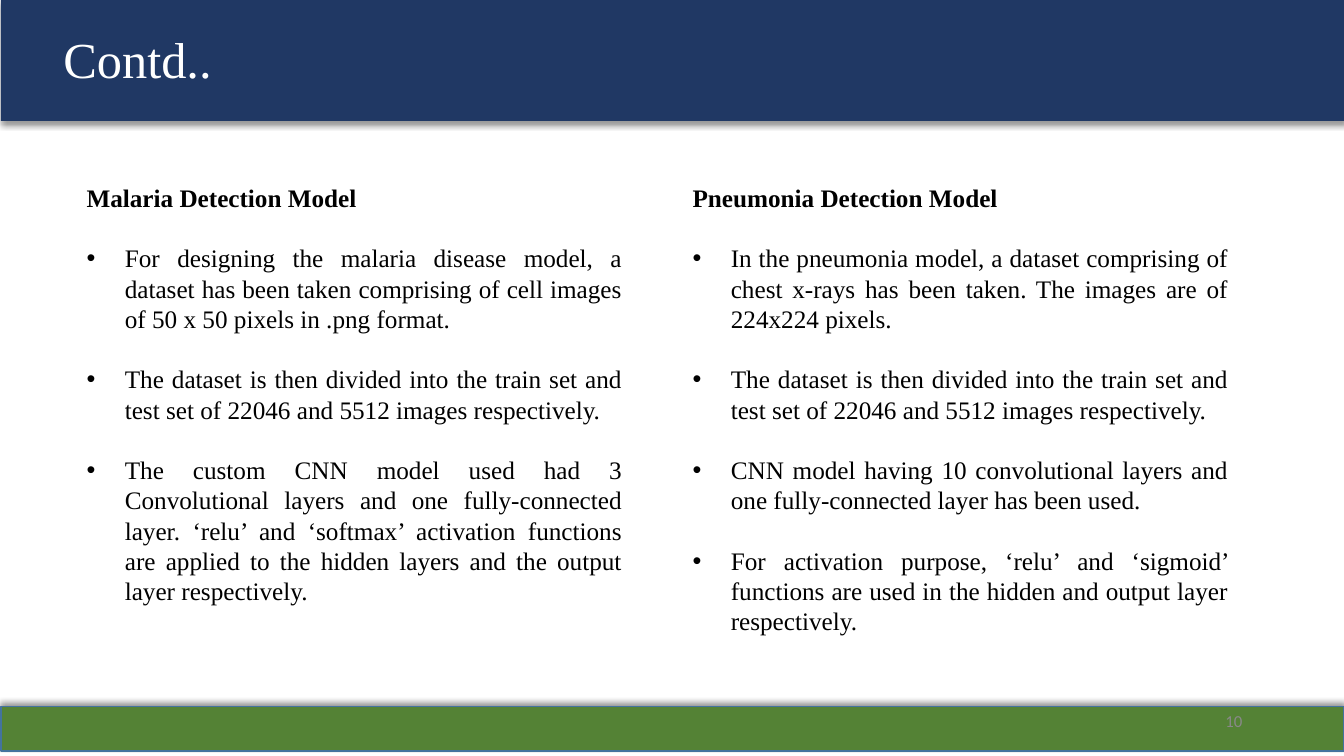
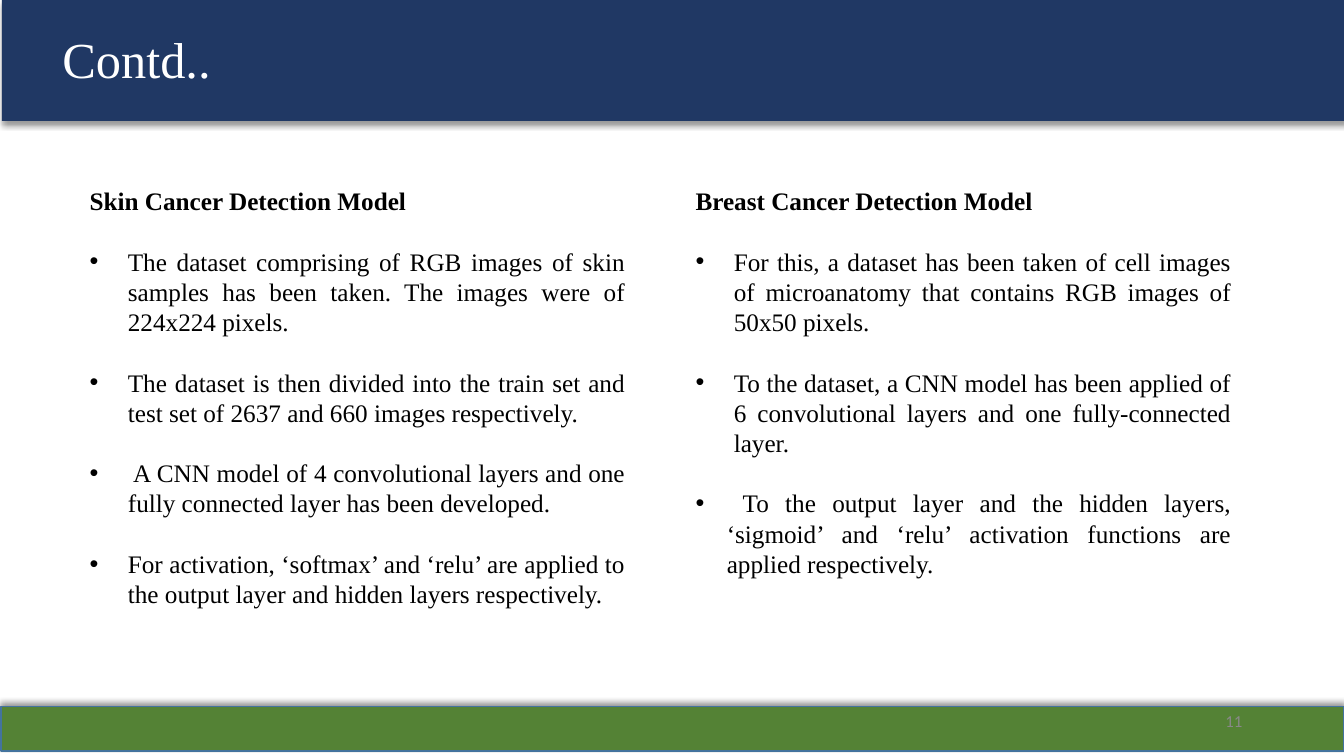
from lxml.etree import SubElement
from pptx import Presentation
from pptx.dml.color import RGBColor
from pptx.enum.shapes import MSO_SHAPE
from pptx.enum.text import MSO_ANCHOR, PP_ALIGN
from pptx.oxml.ns import qn
from pptx.util import Inches, Pt

NAVY, GREEN, EDGE = "203864", "548235", "43739E"
WHITE, BLACK, GRAY = "FFFFFF", "000000", "898989"
SERIF, SANS = "Times New Roman", "Calibri"
LEAD = 1.2
BODY = 18
INDENT = 0.38
GAP = 6.01

SLIDES = [
    {
        "page": 10, "band": 0.01, "title": 0.53, "left": 0.76, "top": 1.76,
        "parts": [
            ("Malaria Detection Model", [
                "For designing the malaria disease model, a dataset has been taken "
                "comprising of cell images of 50 x 50 pixels in .png format.",
                "The dataset is then divided into the train set and test set of "
                "22046 and 5512 images respectively.",
                "The custom CNN model used had 3 Convolutional layers and one "
                "fully-connected layer. ‘relu’ and ‘softmax’ activation functions "
                "are applied to the hidden layers and the output layer respectively.",
            ], INDENT),
            ("Pneumonia Detection Model", [
                "In the pneumonia model, a dataset comprising of chest x-rays has "
                "been taken. The images are of 224x224 pixels.",
                "The dataset is then divided into the train set and test set of "
                "22046 and 5512 images respectively.",
                "CNN model having 10 convolutional layers and one fully-connected "
                "layer has been used.",
                "For activation purpose, ‘relu’ and ‘sigmoid’ functions are used in "
                "the hidden and output layer respectively.",
            ], INDENT),
        ],
    },
    {
        "page": 11, "band": 0.02, "title": 0.52, "left": 0.79, "top": 1.79,
        "parts": [
            ("Skin Cancer Detection Model", [
                "The dataset comprising of RGB images of skin samples has been "
                "taken. The images were of 224x224 pixels.",
                "The dataset is then divided into the train set and test set of "
                "2637 and 660 images respectively.",
                " A CNN model of 4 convolutional layers and one fully connected "
                "layer has been developed.",
                "For activation, ‘softmax’ and ‘relu’ are applied to the output "
                "layer and hidden layers respectively.",
            ], INDENT),
            ("Breast Cancer Detection Model", [
                "For this, a dataset has been taken of cell images of microanatomy "
                "that contains RGB images of 50x50 pixels.",
                "To the dataset, a CNN model has been applied of 6 convolutional "
                "layers and one fully-connected layer.",
                " To the output layer and the hidden layers, ‘sigmoid’ and ‘relu’ "
                "activation functions are applied respectively.",
            ], 0.31),
        ],
    },
]


def color(code):
    """Turn a hex string into a colour."""
    return RGBColor.from_string(code)


def shade(shape, angle):
    """Cast a soft black shadow towards an angle in degrees."""
    shape.shadow.inherit = False
    effects = shape._element.spPr.find(qn("a:effectLst"))
    outer = SubElement(effects, qn("a:outerShdw"), blurRad=str(Pt(4)),
                       dist=str(Pt(3)), dir=str(angle * 60000),
                       algn="ctr", rotWithShape="0")
    black = SubElement(outer, qn("a:srgbClr"), val=BLACK)
    SubElement(black, qn("a:alpha"), val="40000")


def band(slide, left, top, width, height, fill, angle, edge=None):
    """Add a wide bar with a shadow and perhaps an edge."""
    bar = slide.shapes.add_shape(MSO_SHAPE.RECTANGLE, Inches(left), Inches(top),
                                 Inches(width), Inches(height))
    bar.fill.solid()
    bar.fill.fore_color.rgb = color(fill)
    if edge:
        bar.line.color.rgb = color(edge)
        bar.line.width = Pt(1)
    else:
        bar.line.fill.background()
    shade(bar, angle)


def frame(slide, left, top, width, height, anchor=MSO_ANCHOR.TOP):
    """Add a text box that wraps and give its text frame."""
    box = slide.shapes.add_textbox(Inches(left), Inches(top),
                                   Inches(width), Inches(height))
    box.text_frame.word_wrap = True
    box.text_frame.vertical_anchor = anchor
    return box.text_frame


def write(para, text, size=BODY, font=SERIF, ink=BLACK, bold=False,
          align=PP_ALIGN.LEFT, before=0):
    """Fill a paragraph with text in one format."""
    para.alignment = align
    para.line_spacing = Pt(size * LEAD)
    para.space_before = Pt(before)
    run = para.add_run()
    run.text = text
    run.font.size = Pt(size)
    run.font.name = font
    run.font.bold = bold
    run.font.color.rgb = color(ink)


def bullet(para, indent):
    """Hang a round bullet on a paragraph."""
    props = para._p.get_or_add_pPr()
    props.set("marL", str(Inches(indent)))
    props.set("indent", str(-Inches(indent)))
    SubElement(props, qn("a:buFont"), typeface="Arial")
    SubElement(props, qn("a:buChar"), char="•")


def column(slide, left, top, head, points, last):
    """Add a bold heading and its bullet points."""
    body = frame(slide, left, top, 5.51, 4.34)
    write(body.paragraphs[0], head, bold=True)
    for spot, point in enumerate(points, 1):
        para = body.add_paragraph()
        write(para, point, align=PP_ALIGN.JUSTIFY, before=BODY * LEAD)
        bullet(para, last if spot == len(points) else INDENT)


def build(slide, data):
    """Draw bands, title, columns and page number."""
    band(slide, 0.01, 7.01, 13.32, 0.44, GREEN, 270, EDGE)
    band(slide, data["band"], 0, 13.34, 1.2, NAVY, 90)
    title = frame(slide, data["title"], 0.23, 6, 0.8)
    write(title.paragraphs[0], "Contd..", size=36, ink=WHITE)
    for spot, part in enumerate(data["parts"]):
        column(slide, data["left"] + spot * GAP, data["top"], *part)
    page = frame(slide, 9.42, 6.95, 3, 0.4, MSO_ANCHOR.MIDDLE)
    write(page.paragraphs[0], str(data["page"]), size=12, font=SANS, ink=GRAY,
          align=PP_ALIGN.RIGHT)


def main():
    """Build the deck and save it."""
    deck = Presentation()
    deck.slide_width, deck.slide_height = Inches(13.33), Inches(7.5)
    for data in SLIDES:
        build(deck.slides.add_slide(deck.slide_layouts[6]), data)
    deck.save("out.pptx")


main()
